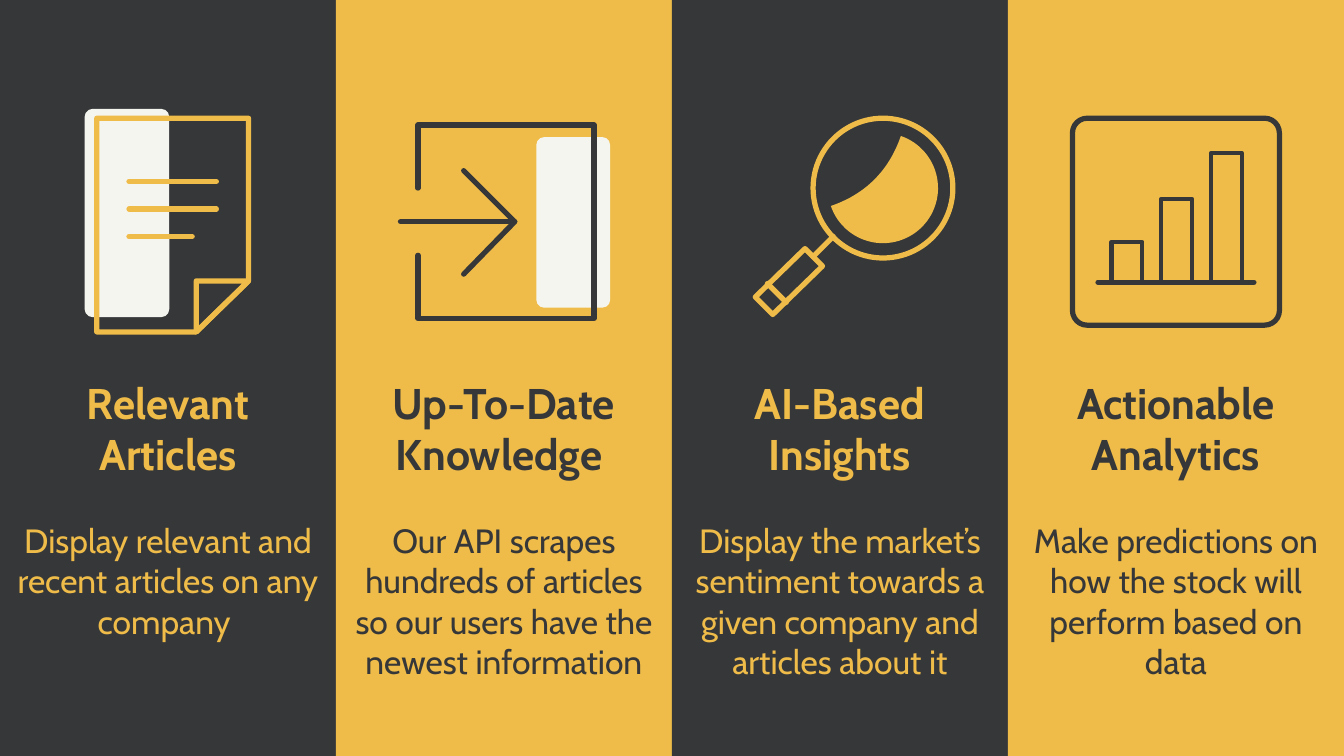
import math

from lxml import etree
from pptx import Presentation, util as u
from pptx.dml import color
from pptx.enum import shapes, text
from pptx.oxml import ns

DARK, GOLD, PALE = "363739", "EFBC49", "F5F5EF"
WIDTH, HEIGHT = 10, 10 * 9 / 16
PANEL_HEIGHT = 5.64
COLUMN_WIDTH = WIDTH / 4
STROKE = 2.8

COLUMNS = [
    ("Relevant\nArticles", "Display relevant and recent articles on any company "),
    ("Up-To-Date Knowledge ",
     "Our API scrapes hundreds of articles so our users have the newest information"),
    ("AI-Based Insights",
     "Display the market’s sentiment towards a given company and articles about it"),
    ("Actionable Analytics",
     "Make predictions on how the stock will perform based on data"),
]


def rgb(value):
    return color.RGBColor.from_string(value)


def apply(target, values):
    for name, value in values.items():
        setattr(target, name, value)


class SlideBuilder:
    FONT = "Cabin"
    HEADING = {"size": u.Pt(23), "bold": True}
    BODY = {"size": u.Pt(18), "bold": False}
    FRAME = {
        "word_wrap": True,
        "auto_size": text.MSO_AUTO_SIZE.SHAPE_TO_FIT_TEXT,
        "margin_left": u.Inches(0.1), "margin_right": u.Inches(0.1),
        "margin_top": u.Inches(0.1), "margin_bottom": u.Inches(0.1),
    }

    def __init__(self, slide):
        self.slide = slide
        background = slide.background.fill
        background.solid()
        background.fore_color.rgb = rgb(PALE)

    def paint(self, shape, fill=None, line=None, weight=STROKE):
        """Set fill and a round-ended outline; None leaves that part empty."""
        shape.shadow.inherit = False
        if fill:
            shape.fill.solid()
            shape.fill.fore_color.rgb = rgb(fill)
        else:
            shape.fill.background()
        if line:
            self.stroke(shape, line, weight)
        else:
            shape.line.fill.background()

    def stroke(self, shape, line, weight=STROKE):
        shape.line.color.rgb = rgb(line)
        shape.line.width = u.Pt(weight)
        outline = shape._element.spPr.find(ns.qn("a:ln"))
        outline.set("cap", "rnd")
        etree.SubElement(outline, ns.qn("a:round"))

    def box(self, left, top, width, height, radius=0, **paint):
        kind = shapes.MSO_SHAPE.ROUNDED_RECTANGLE if radius else shapes.MSO_SHAPE.RECTANGLE
        shape = self.slide.shapes.add_shape(
            kind, *map(u.Inches, (left, top, width, height)))
        if radius:
            shape.adjustments[0] = radius / min(width, height)
        self.paint(shape, **paint)

    def circle(self, x, y, radius, **paint):
        shape = self.slide.shapes.add_shape(
            shapes.MSO_SHAPE.OVAL,
            *map(u.Inches, (x - radius, y - radius, 2 * radius, 2 * radius)))
        self.paint(shape, **paint)

    def outline(self, points, close=True, **paint):
        start, *rest = [(u.Inches(x), u.Inches(y)) for x, y in points]
        builder = self.slide.shapes.build_freeform(*start)
        builder.add_line_segments(rest, close=close)
        self.paint(builder.convert_to_shape(), **paint)

    def line(self, x1, y1, x2, y2, line):
        connector = self.slide.shapes.add_connector(
            shapes.MSO_CONNECTOR.STRAIGHT, *map(u.Inches, (x1, y1, x2, y2)))
        self.stroke(connector, line)
        etree.SubElement(connector._element.spPr, ns.qn("a:effectLst"))

    def caption(self, left, heading, body, ink):
        shape = self.slide.shapes.add_textbox(
            *map(u.Inches, (left, 2.7, COLUMN_WIDTH, 2.49)))
        frame = shape.text_frame
        apply(frame, self.FRAME)
        first, second = frame.paragraphs[0], frame.add_paragraph()
        second.space_before = u.Pt(21.8)
        for paragraph, words, style in ((first, heading, self.HEADING),
                                        (second, body, self.BODY)):
            paragraph.alignment = text.PP_ALIGN.CENTER
            for index, row in enumerate(words.split("\n")):
                if index:
                    paragraph.add_line_break()
                run = paragraph.add_run()
                run.text = row
                apply(run.font, {"name": self.FONT, **style})
                run.font.color.rgb = rgb(ink)


def draw_document(builder):
    builder.box(0.63, 0.81, 0.63, 1.55, radius=0.06, fill=PALE)
    left, top, right, bottom = 0.72, 0.88, 1.85, 2.47
    fold_x, fold_y = 1.46, 2.09
    builder.outline([(fold_x, bottom), (left, bottom), (left, top),
                     (right, top), (right, fold_y)], line=GOLD)
    builder.outline([(fold_x, bottom), (fold_x, fold_y), (right, fold_y)], line=GOLD)
    for row, end in enumerate((1.61, 1.61, 1.43)):
        y = 1.35 + 0.205 * row
        builder.line(0.96, y, end, y, GOLD)


def draw_entry_arrow(builder):
    builder.box(3.99, 1.02, 0.55, 1.27, radius=0.06, fill=PALE)
    builder.outline([(3.11, 1.4), (3.11, 0.93), (4.42, 0.93),
                     (4.42, 2.37), (3.11, 2.37), (3.11, 1.9)],
                    close=False, line=DARK)
    builder.line(2.98, 1.65, 3.83, 1.65, DARK)
    builder.outline([(3.45, 1.27), (3.83, 1.65), (3.45, 2.04)],
                    close=False, line=DARK)


def lens_points(x, y, radius):
    """Arc from -71 to 161 degrees, closed by a curve bent towards the centre."""
    arc = [(x + radius * math.cos(math.radians(angle)),
            y + radius * math.sin(math.radians(angle)))
           for angle in range(-71, 162, 4)]
    (x1, y1), (x2, y2) = arc[-1], arc[0]
    steps = [step / 20 for step in range(1, 20)]
    return arc + [((1 - t) ** 2 * x1 + 2 * t * (1 - t) * x + t * t * x2,
                   (1 - t) ** 2 * y1 + 2 * t * (1 - t) * y + t * t * y2)
                  for t in steps]


def draw_magnifier(builder):
    x, y = 6.57, 1.4
    builder.circle(x, y, 0.52, line=GOLD)
    builder.outline(lens_points(x, y, 0.41), fill=GOLD)
    builder.line(6.05, 1.91, 6.2, 1.76, GOLD)
    builder.outline([(5.62, 2.21), (5.75, 2.34), (6.12, 1.98), (5.99, 1.85)], line=GOLD)
    builder.line(5.71, 2.11, 5.85, 2.25, GOLD)


def draw_bar_icon(builder):
    builder.box(7.98, 0.88, 1.54, 1.54, radius=0.11, line=DARK)
    base = 2.1
    for index, height in enumerate((0.3, 0.62, 0.96)):
        builder.box(8.27 + 0.37 * index, base - height, 0.23, height,
                    fill=GOLD, line=DARK, weight=2.25)
    builder.line(8.17, base, 9.33, base, DARK)


def main():
    presentation = Presentation()
    presentation.slide_width = u.Inches(WIDTH)
    presentation.slide_height = u.Inches(HEIGHT)
    slide = presentation.slides.add_slide(presentation.slide_layouts[6])
    builder = SlideBuilder(slide)
    icons = (draw_document, draw_entry_arrow, draw_magnifier, draw_bar_icon)
    for index, ((heading, body), draw_icon) in enumerate(zip(COLUMNS, icons)):
        panel, ink = (GOLD, DARK) if index % 2 else (DARK, GOLD)
        left = index * COLUMN_WIDTH
        builder.box(left, 0, COLUMN_WIDTH, PANEL_HEIGHT, fill=panel)
        draw_icon(builder)
        builder.caption(left, heading, body, ink)
    presentation.save("out.pptx")


if __name__ == "__main__":
    main()
